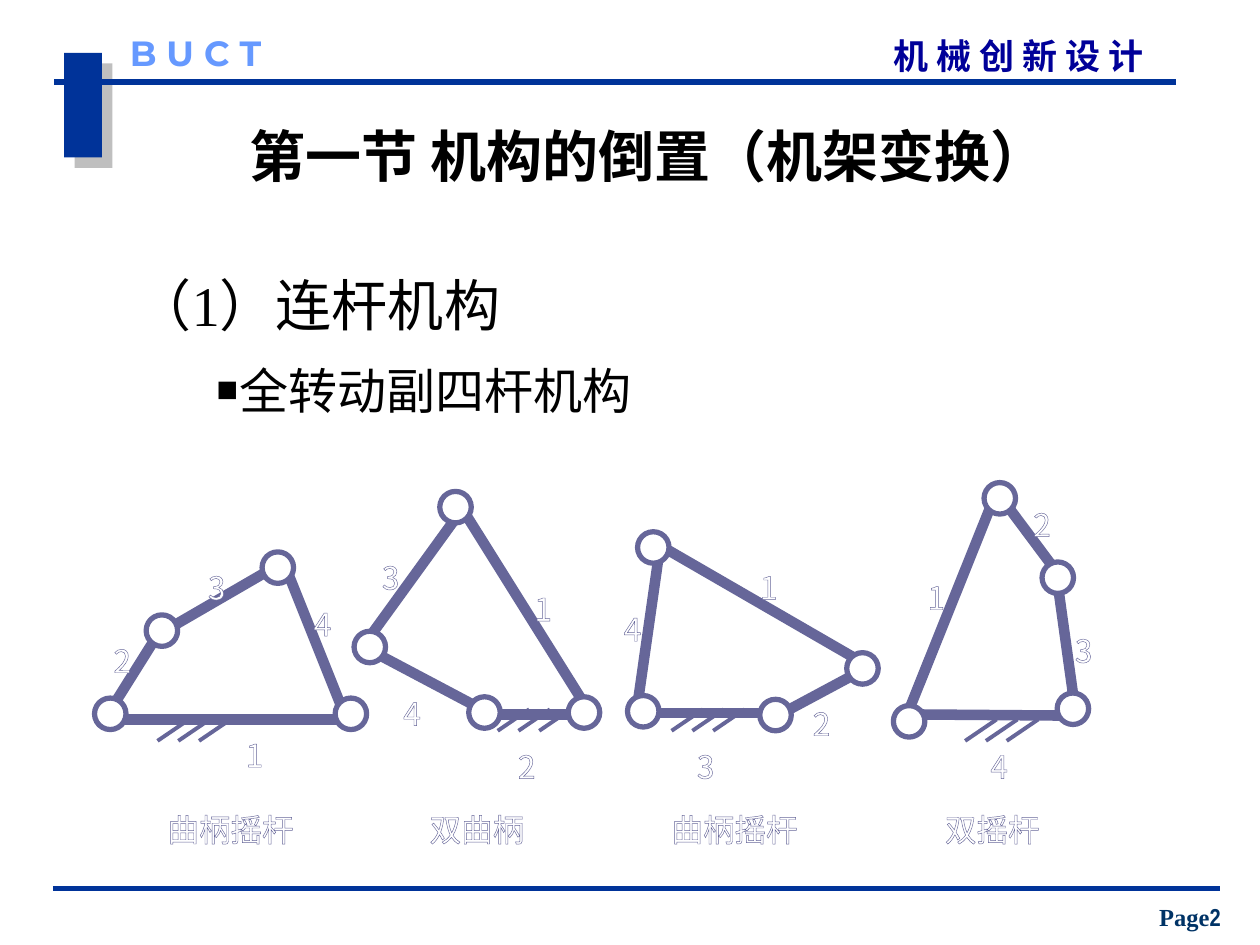
from dataclasses import dataclass

from lxml import etree
from pptx import Presentation
from pptx.dml.color import RGBColor
from pptx.enum.shapes import MSO_CONNECTOR, MSO_SHAPE
from pptx.enum.text import MSO_ANCHOR, PP_ALIGN
from pptx.oxml.ns import qn
from pptx.util import Inches, Pt

STRAIGHT = MSO_CONNECTOR.STRAIGHT
RECTANGLE = MSO_SHAPE.RECTANGLE
OVAL = MSO_SHAPE.OVAL
TOP, MIDDLE, BOTTOM = MSO_ANCHOR.TOP, MSO_ANCHOR.MIDDLE, MSO_ANCHOR.BOTTOM
LEFT, CENTER = PP_ALIGN.LEFT, PP_ALIGN.CENTER

NAVY, STEEL, WHITE, BLACK = "003399", "666699", "FFFFFF", "000000"
SANS, SERIF = "Noto Sans CJK SC", "Times New Roman"
JOINT_SIZE = 0.25
HATCH_COUNT, HATCH_STEP = 3, 0.165
HATCH_WIDTH, HATCH_HEIGHT = 0.25, 0.17
LABEL_PADDING = 0.05
NO_INSET = (0, 0)

Point = tuple[float, float]


@dataclass
class Label:
    text: str
    left: float
    top: float
    width: float = 0.12


@dataclass
class Linkage:
    rod_ends: list[Point]
    joints: list[Point]
    hatch_start: Point
    labels: list[Label]


LINKAGES = [
    Linkage(
        [(1.25, 5.04), (2.25, 4.46), (2.75, 5.71), (0.83, 5.71)],
        [(1.16, 4.88), (2.08, 4.38), (2.66, 5.54), (0.75, 5.54)],
        (1.5, 5.71),
        [Label("1", 1.96, 5.79), Label("2", 0.91, 5.04), Label("3", 1.66, 4.46),
         Label("4", 2.5, 4.75), Label("曲柄摇杆", 1.33, 6.38, 1)],
    ),
    Linkage(
        [(3.9, 5.67), (4.69, 5.67), (3.67, 4.04), (2.88, 5.13)],
        [(3.72, 5.53), (4.51, 5.53), (3.49, 3.9), (2.81, 5.01)],
        (4.2, 5.63),
        [Label("1", 4.25, 4.63), Label("2", 4.12, 5.88), Label("3", 3.04, 4.38),
         Label("4", 3.21, 5.46), Label("双曲柄", 3.41, 6.38, 0.75)],
    ),
    Linkage(
        [(6.21, 5.66), (6.9, 5.29), (5.24, 4.33), (5.05, 5.66)],
        [(6.03, 5.55), (6.72, 5.18), (5.06, 4.22), (4.98, 5.52)],
        (5.58, 5.63),
        [Label("1", 6.04, 4.46), Label("2", 6.46, 5.54), Label("3", 5.54, 5.88),
         Label("4", 4.96, 4.79), Label("曲柄摇杆", 5.33, 6.38, 1)],
    ),
    Linkage(
        [(8.38, 4.53), (7.91, 3.9), (7.2, 5.67), (8.54, 5.68)],
        [(8.27, 4.46), (7.81, 3.83), (7.09, 5.6), (8.39, 5.5)],
        (7.91, 5.71),
        [Label("1", 7.37, 4.54), Label("2", 8.21, 3.96), Label("3", 8.54, 4.96),
         Label("4", 7.87, 5.88), Label("双摇杆", 7.5, 6.38, 0.75)],
    ),
]


def color(value: str) -> RGBColor:
    return RGBColor.from_string(value)


def add_line(shapes, start: Point, end: Point, line_color: str, width: float) -> None:
    connector = shapes.add_connector(STRAIGHT, *map(Inches, start + end))
    connector.line.color.rgb = color(line_color)
    connector.line.width = Pt(width)
    etree.SubElement(connector._element.spPr, qn("a:effectLst"))


def add_run(paragraph, text: str, font: str, size: float, text_color: str,
            bold: bool = False, outline: str | None = None) -> None:
    run = paragraph.add_run()
    run.text = text
    run.font.size = Pt(size)
    run.font.bold = bold
    run.font.name = font
    run.font.color.rgb = color(text_color)
    properties = run._r.get_or_add_rPr()
    etree.SubElement(properties, qn("a:ea"), typeface=SANS)
    if outline:
        line = etree.Element(qn("a:ln"), w=str(Pt(0.75)))
        fill = etree.SubElement(line, qn("a:solidFill"))
        etree.SubElement(fill, qn("a:srgbClr"), val=outline)
        properties.insert(0, line)


def add_text(shapes, text: str, left: float, top: float, width: float, height: float, *,
             font: str = SANS, size: float = 18, text_color: str = BLACK, bold: bool = False,
             outline: str | None = None, align=LEFT, anchor=TOP,
             wrap: bool = True, inset: Point = (0.1, 0.05)):
    box = shapes.add_textbox(Inches(left), Inches(top), Inches(width), Inches(height))
    frame = box.text_frame
    frame.word_wrap = wrap
    frame.vertical_anchor = anchor
    frame.margin_left = frame.margin_right = Inches(inset[0])
    frame.margin_top = frame.margin_bottom = Inches(inset[1])
    paragraph = frame.paragraphs[0]
    paragraph.alignment = align
    add_run(paragraph, text, font, size, text_color, bold, outline)
    return paragraph


def add_accent_block(shapes) -> None:
    block = shapes.add_shape(RECTANGLE, Inches(0.51), Inches(0.42), Inches(0.3), Inches(0.83))
    block.fill.solid()
    block.fill.fore_color.rgb = color(NAVY)
    block.line.fill.background()
    effects = etree.SubElement(block._element.spPr, qn("a:effectLst"))
    shadow = etree.SubElement(effects, qn("a:outerShdw"), dist=str(Pt(8.5)),
                              dir=str(45 * 60000), algn="ctr", rotWithShape="0")
    shade = etree.SubElement(shadow, qn("a:srgbClr"), val="808080")
    etree.SubElement(shade, qn("a:alpha"), val="50000")


def add_joint(shapes, corner: Point) -> None:
    size = Inches(JOINT_SIZE)
    joint = shapes.add_shape(OVAL, *map(Inches, corner), size, size)
    joint.shadow.inherit = False
    joint.fill.solid()
    joint.fill.fore_color.rgb = color(WHITE)
    joint.line.color.rgb = color(STEEL)
    joint.line.width = Pt(3)


def add_linkage(slide, linkage: Linkage) -> None:
    shapes = slide.shapes.add_group_shape().shapes
    left, top = linkage.hatch_start
    for index in range(HATCH_COUNT):
        x = left + index * HATCH_STEP
        add_line(shapes, (x, top), (x - HATCH_WIDTH, top + HATCH_HEIGHT), STEEL, 2.25)
    ends = linkage.rod_ends
    for start, end in zip(ends, ends[1:] + ends[:1]):
        add_line(shapes, start, end, STEEL, 6)
    for corner in linkage.joints:
        add_joint(shapes, corner)
    for label in linkage.labels:
        add_text(shapes, label.text, label.left - LABEL_PADDING, label.top,
                 label.width + 2 * LABEL_PADDING, 0.25, text_color=WHITE, outline=STEEL,
                 align=CENTER, wrap=False, inset=(0, 0.05))


def main() -> None:
    presentation = Presentation()
    presentation.slide_width = Inches(10)
    presentation.slide_height = Inches(7.5)
    slide = presentation.slides.add_slide(presentation.slide_layouts[6])
    shapes = slide.shapes

    add_accent_block(shapes)
    add_line(shapes, (0.43, 0.65), (9.33, 0.65), NAVY, 3)
    add_line(shapes, (0.42, 7.05), (9.68, 7.05), NAVY, 3)
    add_text(shapes, "机 械 创 新 设 计", 7.09, 0.27, 2.45, 0.33,
             size=20, text_color="000099", bold=True, inset=NO_INSET)
    add_text(shapes, "B U C T", 1.03, 0.25, 1.42, 0.33, font="Montserrat",
             size=20, text_color="6699FF", bold=True, inset=NO_INSET)
    page = add_text(shapes, "Page", 8.97, 7.11, 0.95, 0.33, font=SERIF, size=14,
                    text_color="003366", bold=True, align=CENTER, anchor=BOTTOM)
    add_run(page, "2", "Arial Narrow", 14, "003366", bold=True)
    add_text(shapes, "第一节 机构的倒置（机架变换）", 0.98, 0.76, 8.33, 0.95, font="Lato",
             size=32, bold=True, align=CENTER, anchor=MIDDLE, inset=NO_INSET)

    for linkage in LINKAGES:
        add_linkage(slide, linkage)

    add_text(shapes, "￭全转动副四杆机构", 1.61, 2.81, 5.83, 0.57, font=SERIF, size=28)
    add_text(shapes, "（1）连杆机构", 0.98, 2.1, 3.62, 0.64, font=SERIF, size=32)
    presentation.save("out.pptx")


if __name__ == "__main__":
    main()
